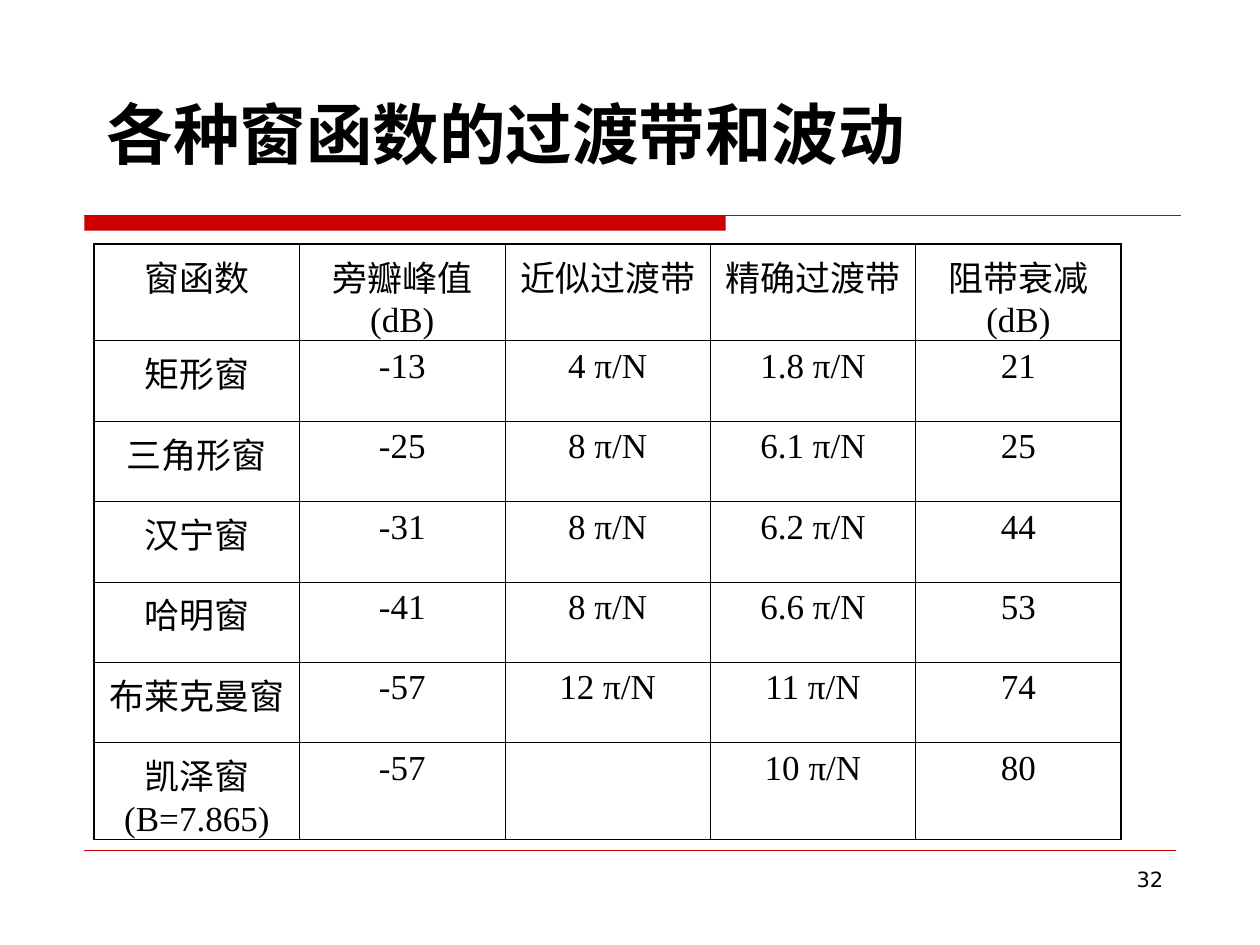
from lxml import etree
from pptx import Presentation
from pptx import util as u
from pptx.dml.color import RGBColor
from pptx.enum import shapes, text
from pptx.oxml import ns

HUES = {"ink": "000000", "red": "CC0000"}
ROWS = [
    ["窗函数", "旁瓣峰值\n(dB)", "近似过渡带", "精确过渡带", "阻带衰减\n(dB)"],
    ["矩形窗", "-13", "4 π/N", "1.8 π/N", "21"],
    ["三角形窗", "-25", "8 π/N", "6.1 π/N", "25"],
    ["汉宁窗", "-31", "8 π/N", "6.2 π/N", "44"],
    ["哈明窗", "-41", "8 π/N", "6.6 π/N", "53"],
    ["布莱克曼窗", "-57", "12 π/N", "11 π/N", "74"],
    ["凯泽窗\n(B=7.865)", "-57", "", "10 π/N", "80"],
]
THIN, THICK = u.Pt(0.45), u.Pt(1.08)


def write(frame, words, align, look):
    """Fill a text frame, one paragraph a line, with the font values in look."""
    frame.text = words
    for para in frame.paragraphs:
        para.alignment = align
        for run in para.runs:
            run.font.color.rgb = RGBColor.from_string(HUES["ink"])
            for key, value in look.items():
                setattr(run.font, key, value)


def edge(cell, side, width):
    """Draw one cell border; side is L, R, T or B."""
    line = etree.SubElement(cell._tc.get_or_add_tcPr(), ns.qn(f"a:ln{side}"), w=str(width))
    fill = etree.SubElement(line, ns.qn("a:solidFill"))
    etree.SubElement(fill, ns.qn("a:srgbClr"), val=HUES["ink"])


deck = Presentation()
deck.slide_width, deck.slide_height = u.Cm(25.4), u.Cm(19.05)
slide = deck.slides.add_slide(deck.slide_layouts[6])
red = RGBColor.from_string(HUES["red"])

# Title bar and rules
bar = slide.shapes.add_shape(shapes.MSO_SHAPE.RECTANGLE, u.Cm(1.7), u.Cm(4.35), u.Cm(12.93), u.Cm(0.3))
bar.shadow.inherit = False
bar.fill.solid()
bar.fill.fore_color.rgb = red
bar.line.fill.background()
for end, top, width in [(23.8, 4.35, 0.75), (23.7, 17.14, 0.25)]:
    rule = slide.shapes.add_connector(
        shapes.MSO_CONNECTOR.STRAIGHT, u.Cm(1.7), u.Cm(top), u.Cm(end), u.Cm(top))
    rule.line.color.rgb = red
    rule.line.width = u.Pt(width)
    etree.SubElement(rule._element.spPr, ns.qn("a:effectLst"))

# Page number and title
LEFT, MID, RIGHT = text.PP_ALIGN.LEFT, text.PP_ALIGN.CENTER, text.PP_ALIGN.RIGHT
TOP, BASE = text.MSO_ANCHOR.TOP, text.MSO_ANCHOR.BOTTOM
for words, place, anchor, align, size, bold in [
    ("32", (18.2, 17.35, 5.5, 1.32), TOP, RIGHT, 12, False),
    ("各种窗函数的过渡带和波动", (1.9, 1.7, 21.6, 1.9), BASE, LEFT, 38, True),
]:
    frame = slide.shapes.add_textbox(*map(u.Cm, place)).text_frame
    frame.word_wrap = True
    frame.vertical_anchor = anchor
    write(frame, words, align, {"name": "DejaVu Sans", "size": u.Pt(size), "bold": bold})

# Table of windows
rows, cols = len(ROWS), len(ROWS[0])
grid = slide.shapes.add_table(rows, cols, u.Cm(1.9), u.Cm(4.92), u.Cm(20.7), u.Cm(12.03)).table
grid.first_row = grid.horz_banding = False
for r, row in enumerate(ROWS):
    grid.rows[r].height = u.Cm(1.95 if r in (0, rows - 1) else 1.62)
    for c, words in enumerate(row):
        cell = grid.cell(r, c)
        write(cell.text_frame, words, MID, {"name": "Times New Roman", "size": u.Pt(20)})
        outer = {"L": c == 0, "R": c == cols - 1, "T": r == 0, "B": r == rows - 1}
        for side, out in outer.items():
            edge(cell, side, THICK if out else THIN)
        cell.fill.background()

deck.save("out.pptx")
